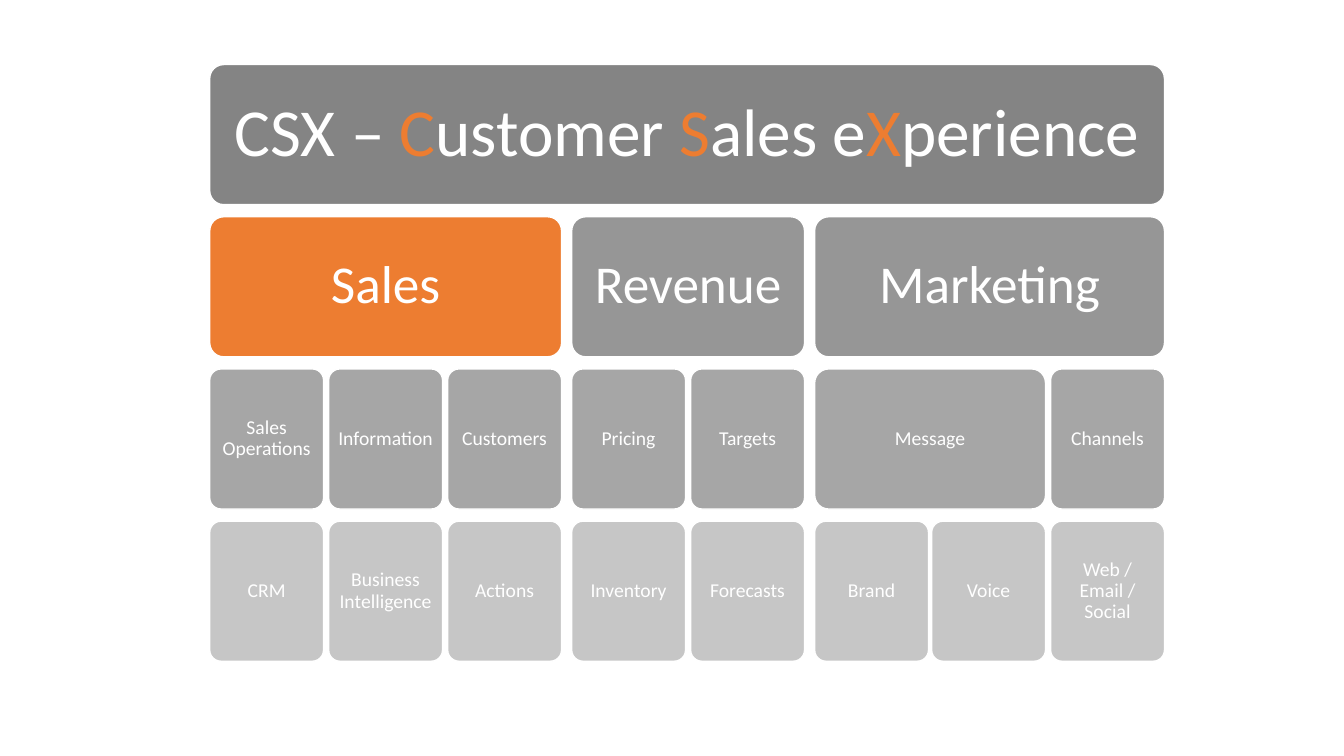
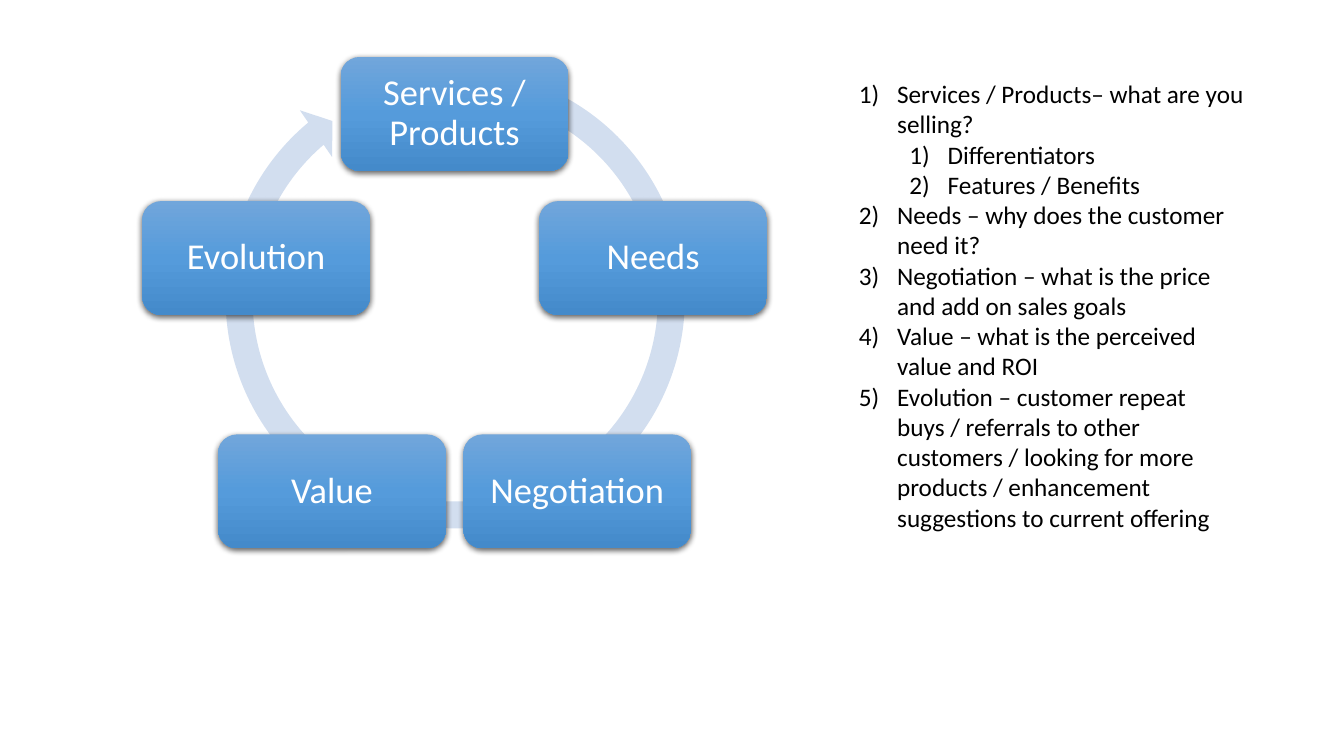
from dataclasses import dataclass
from math import cos, radians, sin

from pptx import Presentation
from pptx.dml.color import RGBColor as RGB
from pptx.enum.shapes import MSO_SHAPE as SHP
from pptx.enum.text import MSO_ANCHOR as ANC, MSO_AUTO_SIZE as AUTO, PP_ALIGN as AL
from pptx.oxml import parse_xml
from pptx.oxml.ns import nsdecls, qn
from pptx.util import Inches, Pt


# Theme: colours and type sizes
@dataclass(frozen=True)
class Theme:
    font: str = "Calibri"
    white: str = "FFFFFF"
    black: str = "000000"
    accent: str = "ED7D31"
    ring: str = "D2DEEF"
    levels: tuple = ("848484", "969696", "A6A6A6", "C6C6C6")
    gradient: tuple = ((0, "71A6DB"), (50, "559BDB"), (100, "448ACA"))
    level_sizes: tuple = (48, 38, 14, 14)
    step_size: int = 26
    list_size: int = 18


class Deck:
    def __init__(self, theme):
        self.t = theme
        self.prs = Presentation()
        self.prs.slide_width, self.prs.slide_height = Inches(13.33), Inches(7.5)
        self.s = None

    def new_slide(self):
        self.s = self.prs.slides.add_slide(self.prs.slide_layouts[6])

    def run(self, p, text, size, color):
        r = p.add_run()
        r.text = text
        r.font.name, r.font.size = self.t.font, Pt(size)
        r.font.color.rgb = RGB.from_string(color)

    def shape(self, kind, x, y, w, h, fill, line=None, adj=()):
        sp = self.s.shapes.add_shape(kind, Inches(x), Inches(y), Inches(w), Inches(h))
        sp.shadow.inherit = False
        for i, a in enumerate(adj):
            sp.adjustments[i] = a
        sp.fill.solid()
        sp.fill.fore_color.rgb = RGB.from_string(fill)
        if line:
            sp.line.color.rgb = RGB.from_string(line)
            sp.line.width = Pt(1)
        else:
            sp.line.fill.background()
        return sp

    def label(self, sp, runs, size, inset):
        """Centred text in a shape; runs are (text, colour) pairs."""
        tf = sp.text_frame
        tf.word_wrap, tf.vertical_anchor = True, ANC.MIDDLE
        tf.margin_left = tf.margin_right = Inches(inset)
        tf.margin_top = tf.margin_bottom = Inches(inset)
        p = tf.paragraphs[0]
        p.alignment, p.line_spacing = AL.CENTER, 0.9
        for text, color in runs:
            self.run(p, text, size, color)

    def glossy_box(self, x, y, w, h, text):
        """Rounded box with a vertical gradient and a soft shadow."""
        sp = self.shape(SHP.ROUNDED_RECTANGLE, x, y, w, h, self.t.gradient[0][1])
        pr = sp._element.spPr
        stops = "".join(f'<a:gs pos="{pos * 1000}"><a:srgbClr val="{c}"/></a:gs>'
                        for pos, c in self.t.gradient)
        pr.replace(pr.find(qn("a:solidFill")), parse_xml(
            f'<a:gradFill {nsdecls("a")} rotWithShape="1"><a:gsLst>{stops}</a:gsLst>'
            '<a:lin ang="5400000" scaled="0"/></a:gradFill>'))
        pr.find(qn("a:effectLst")).append(parse_xml(
            f'<a:outerShdw {nsdecls("a")} blurRad="{Pt(4.5)}" dist="{Pt(1.5)}" '
            f'dir="5400000" algn="ctr" rotWithShape="0"><a:srgbClr val="{self.t.black}">'
            '<a:alpha val="63000"/></a:srgbClr></a:outerShdw>'))
        self.label(sp, [(text, self.t.white)], self.t.step_size, 0.11)

    def numbered_list(self, x, y, w, h, items):
        """Items are (level, text) pairs."""
        tf = self.s.shapes.add_textbox(Inches(x), Inches(y), Inches(w), Inches(h)).text_frame
        tf.word_wrap, tf.auto_size = True, AUTO.SHAPE_TO_FIT_TEXT
        for i, (level, text) in enumerate(items):
            p = tf.add_paragraph() if i else tf.paragraphs[0]
            p.level = level
            pPr = p._p.get_or_add_pPr()
            pPr.set("marL", str(Inches(0.38 + 0.5 * level)))
            pPr.set("indent", str(Inches(-0.38)))
            pPr.append(parse_xml(f'<a:buFont {nsdecls("a")} typeface="+mj-lt"/>'))
            pPr.append(parse_xml(f'<a:buAutoNum {nsdecls("a")} type="arabicParenR"/>'))
            self.run(p, text, self.t.list_size, self.t.black)


# Hierarchy: a node is (text, children); gaps are between siblings by level
LEAF_W, ROW_H, ROW_STEP = 1.13, 1.39, 1.51
TREE_X, TREE_Y = 2.08, 0.64
GAPS = (0, 0.1, 0.05, 0.03)
INSETS = (0.2, 0.16, 0.06, 0.06)
TREE = ("CSX – *C*ustomer *S*ales e*X*perience", [
    ("Sales", [
        ("Sales Operations", [("CRM", [])]),
        ("Information", [("Business Intelligence", [])]),
        ("Customers", [("Actions", [])])]),
    ("Revenue", [
        ("Pricing", [("Inventory", [])]),
        ("Targets", [("Forecasts", [])])]),
    ("Marketing", [
        ("Message", [("Brand", []), ("Voice", [])]),
        ("Channels", [("Web / Email / Social", [])])])])


def draw_tree(deck, node, x=TREE_X, level=0):
    """Draw a node above its children and return its width."""
    t, (text, children) = deck.t, node
    right = x
    for i, child in enumerate(children):
        right += GAPS[level + 1] if i else 0
        right += draw_tree(deck, child, right, level + 1)
    w = right - x if children else LEAF_W
    fill = t.accent if text == "Sales" else t.levels[level]
    sp = deck.shape(SHP.ROUNDED_RECTANGLE, x, TREE_Y + level * ROW_STEP, w, ROW_H,
                    fill, t.white, (0.1,))
    # Text between asterisks takes the accent colour
    runs = [(part, t.accent if i % 2 else t.white)
            for i, part in enumerate(text.split("*"))]
    deck.label(sp, runs, t.level_sizes[level], INSETS[level])
    return w


# Sales cycle: boxes spaced evenly round a circle
STEPS = ("Services / Products", "Needs", "Negotiation", "Value", "Evolution")
CYCLE_X, CYCLE_Y, RADIUS = 4.51, 3.2, 2.07
BOX_W, BOX_H = 2.26, 1.13
NOTES = (
    (0, "Services / Products– what are you selling?"),
    (1, "Differentiators"),
    (1, "Features / Benefits"),
    (0, "Needs – why does the customer need it?"),
    (0, "Negotiation – what is the price and add on sales goals"),
    (0, "Value – what is the perceived value and ROI"),
    (0, "Evolution – customer repeat buys / referrals to other customers / "
        "looking for more products / enhancement suggestions to current offering"),
)


def draw_cycle(deck):
    deck.shape(SHP.CIRCULAR_ARROW, 2.09, 0.54, 4.85, 4.85, deck.t.ring,
               adj=(0.055, 3.31, 137.93, 173.76, 0.058))
    for i, step in enumerate(STEPS):
        a = radians(i * 360 / len(STEPS))
        deck.glossy_box(CYCLE_X + RADIUS * sin(a) - BOX_W / 2,
                        CYCLE_Y - RADIUS * cos(a) - BOX_H / 2, BOX_W, BOX_H, step)


def main():
    deck = Deck(Theme())
    deck.new_slide()
    draw_tree(deck, TREE)
    deck.new_slide()
    draw_cycle(deck)
    deck.numbered_list(8.42, 0.73, 4.06, 4.64, NOTES)
    deck.prs.save("out.pptx")


if __name__ == "__main__":
    main()
